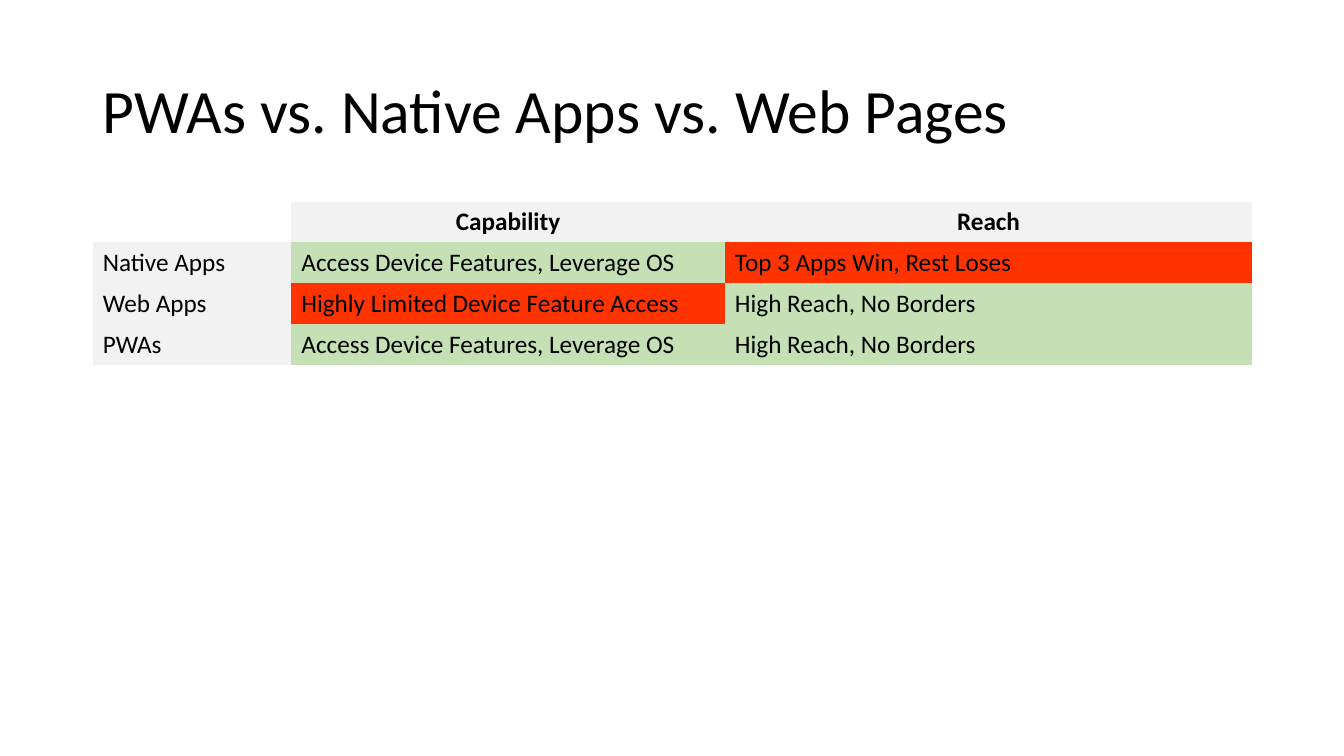
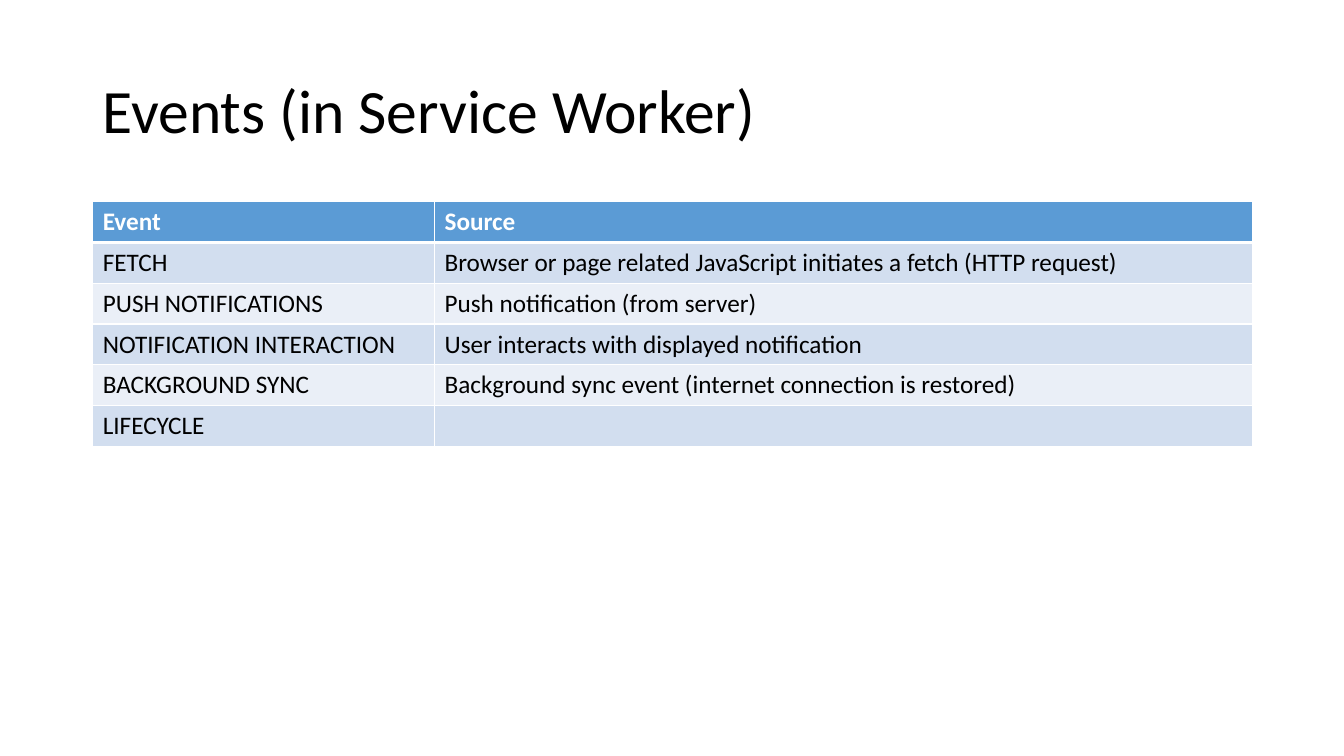
from lxml.etree import SubElement
from pptx import Presentation
from pptx.dml.color import RGBColor
from pptx.enum.text import MSO_ANCHOR, PP_ALIGN
from pptx.oxml.ns import qn
from pptx.util import Inches, Pt

COLORS = {
    "black": "000000",
    "white": "FFFFFF",
    "label": "F2F2F2",
    "good": "C5E0B4",
    "bad": "FF3300",
    "header": "5B9BD5",
    "band_dark": "D2DEEF",
    "band_light": "EAEFF7",
}
PLAIN_TABLE_STYLE = "{2D5ABB26-0587-4C30-8999-92F81FD0307C}"


class DeckBuilder:
    """Holds the shared style and the current slide."""

    font = "Calibri"
    left, width = 0.92, 11.5
    table_top, row_height = 2, 0.405

    def __init__(self):
        self.deck = Presentation()
        self.deck.slide_width = Inches(13.33)
        self.deck.slide_height = Inches(7.5)
        self.page = None

    def add_page(self, title):
        self.page = self.deck.slides.add_slide(self.deck.slide_layouts[6])
        box = self.page.shapes.add_textbox(
            Inches(self.left), Inches(0.4), Inches(self.width), Inches(1.45))
        frame = box.text_frame
        frame.word_wrap = True
        frame.vertical_anchor = MSO_ANCHOR.MIDDLE
        para = frame.paragraphs[0]
        para.line_spacing = 0.9
        self.add_span(para, title, 44)

    def add_span(self, para, text, size=18, color="black", bold=False):
        span = para.add_run()
        span.text = text
        span.font.name = self.font
        span.font.size = Pt(size)
        span.font.bold = bold
        span.font.color.rgb = RGBColor.from_string(COLORS[color])

    def add_table(self, column_widths, row_count):
        frame = self.page.shapes.add_table(
            row_count, len(column_widths), Inches(self.left), Inches(self.table_top),
            Inches(self.width), Inches(self.row_height * row_count))
        table = frame.table
        table.first_row = True
        table.horz_banding = False
        table._tbl.tblPr.find(qn("a:tableStyleId")).text = PLAIN_TABLE_STYLE
        for column, width in zip(table.columns, column_widths):
            column.width = Inches(width)
        for row in table.rows:
            row.height = Inches(self.row_height)
        return table

    def fill_cell(self, cell, text, fill, color="black", bold=False,
                  align=PP_ALIGN.LEFT, anchor=MSO_ANCHOR.TOP):
        cell.fill.solid()
        cell.fill.fore_color.rgb = RGBColor.from_string(COLORS[fill])
        cell.vertical_anchor = anchor
        para = cell.text_frame.paragraphs[0]
        para.alignment = align
        if text:
            self.add_span(para, text, color=color, bold=bold)

    def add_borders(self, cell, top=1, bottom=1):
        # Borders must come before the fill in the cell properties
        properties = cell._tc.get_or_add_tcPr()
        for side, points in (("L", 1), ("R", 1), ("T", top), ("B", bottom)):
            line = SubElement(properties, qn(f"a:ln{side}"), w=str(Pt(points)))
            solid = SubElement(line, qn("a:solidFill"))
            SubElement(solid, qn("a:srgbClr"), val=COLORS["white"])


def add_comparison(builder):
    builder.add_page("PWAs vs. Native Apps vs. Web Pages")
    full_access = ("Access Device Features, Leverage OS", "good")
    high_reach = ("High Reach, No Borders", "good")
    rows = [
        ("Native Apps", full_access, ("Top 3 Apps Win, Rest Loses", "bad")),
        ("Web Apps", ("Highly Limited Device Feature Access", "bad"), high_reach),
        ("PWAs", full_access, high_reach),
    ]
    table = builder.add_table((1.97, 4.3, 5.23), len(rows) + 1)

    # Header row, with an empty corner
    for column, heading in enumerate(("Capability", "Reach"), start=1):
        builder.fill_cell(table.cell(0, column), heading, "label", bold=True,
                          align=PP_ALIGN.CENTER)

    # Row labels and ratings
    for row, (label, *ratings) in enumerate(rows, start=1):
        builder.fill_cell(table.cell(row, 0), label, "label", anchor=MSO_ANCHOR.MIDDLE)
        for column, (text, rating) in enumerate(ratings, start=1):
            builder.fill_cell(table.cell(row, column), text, rating)


def add_events(builder):
    builder.add_page("Events (in Service Worker)")
    rows = [
        ("Event", "Source"),
        ("FETCH", "Browser or page related JavaScript initiates a fetch (HTTP request)"),
        ("PUSH NOTIFICATIONS", "Push notification (from server)"),
        ("NOTIFICATION INTERACTION", "User interacts with displayed notification"),
        ("BACKGROUND SYNC", "Background sync event (internet connection is restored)"),
        ("LIFECYCLE", ""),
    ]
    table = builder.add_table((3.39, 8.11), len(rows))

    # Header, then alternating bands
    for row, texts in enumerate(rows):
        is_header = row == 0
        band = "band_dark" if row % 2 else "band_light"
        for column, text in enumerate(texts):
            cell = table.cell(row, column)
            builder.add_borders(cell, top=3 if row == 1 else 1,
                                bottom=3 if is_header else 1)
            builder.fill_cell(cell, text, "header" if is_header else band,
                              color="white" if is_header else "black", bold=is_header)


def main():
    builder = DeckBuilder()
    add_comparison(builder)
    add_events(builder)
    builder.deck.save("out.pptx")


if __name__ == "__main__":
    main()
